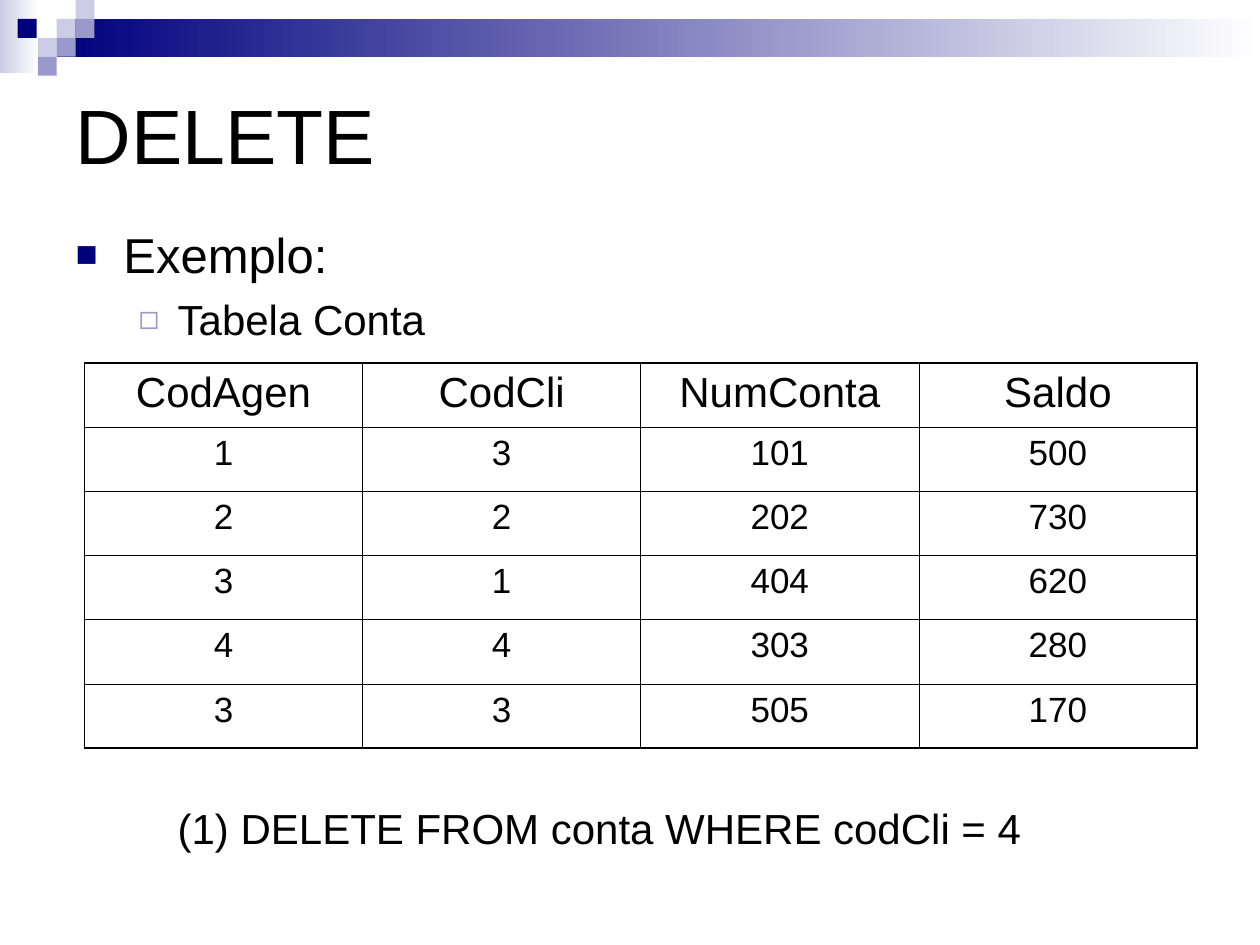
from dataclasses import dataclass

from lxml import etree
from pptx import Presentation
from pptx.dml.color import RGBColor
from pptx.enum.shapes import MSO_SHAPE
from pptx.enum.text import MSO_ANCHOR, MSO_AUTO_SIZE, PP_ALIGN
from pptx.oxml.ns import qn
from pptx.util import Inches, Pt

RECTANGLE = MSO_SHAPE.RECTANGLE
MIDDLE, TOP = MSO_ANCHOR.MIDDLE, MSO_ANCHOR.TOP
LEFT, CENTER = PP_ALIGN.LEFT, PP_ALIGN.CENTER
NO_AUTOFIT = MSO_AUTO_SIZE.NONE

FONT = "Arial"
COLORS = {
    "navy": "00007D",
    "lavender": "9999CC",
    "pale": "CCCCE6",
    "white": "FFFFFF",
    "black": "000000",
}
TILE = 0.15
OUTER_LINE, INNER_LINE = 1.08, 0.45


@dataclass
class Block:
    """A decorative rectangle; end_color turns the fill into a gradient."""
    left: float
    top: float
    width: float
    height: float
    color: str
    end_color: str = ""


@dataclass
class Item:
    """A body paragraph, with lengths in inches and sizes in points."""
    text: str
    level: int
    size: int
    margin: float
    indent: float
    space_before: int
    bullet: str = ""
    bullet_color: str = ""
    bullet_percent: int = 100


TILES = [
    (0.45, 0.15, "pale"), (0.6, 0, "pale"), (0.6, 0.15, "lavender"),
    (0.3, 0.3, "pale"), (0.14, 0.15, "navy"), (0.45, 0.3, "lavender"),
    (0.3, 0.45, "lavender"),
]
BLOCKS = [
    Block(0, 0, 0.31, 0.58, "pale", "white"),
    Block(0.45, 0.15, 9.55, 0.3, "navy", "white"),
] + [Block(left, top, TILE, TILE, color) for left, top, color in TILES]

ITEMS = [
    Item("Exemplo:", 0, 28, 0.38, -0.38, 0, "■", "navy", 75),
    Item("Tabela Conta", 1, 24, 0.81, -0.31, 6, "◻", "lavender", 80),
    Item("(1) DELETE FROM conta WHERE codCli = 4", 1, 24, 0.81, 0, 262),
]
ACCOUNTS = [
    ("CodAgen", "CodCli", "NumConta", "Saldo"),
    ("1", "3", "101", "500"),
    ("2", "2", "202", "730"),
    ("3", "1", "404", "620"),
    ("4", "4", "303", "280"),
    ("3", "3", "505", "170"),
]


def rgb(name: str) -> RGBColor:
    return RGBColor.from_string(COLORS[name])


def format_runs(para, size: float) -> None:
    for run in para.runs:
        run.font.name = FONT
        run.font.size = Pt(size)
        run.font.color.rgb = rgb("black")


def place(shape, left: float, top: float, width: float, height: float) -> None:
    shape.left, shape.top = Inches(left), Inches(top)
    shape.width, shape.height = Inches(width), Inches(height)


def draw_block(slide, block: Block) -> None:
    shape = slide.shapes.add_shape(
        RECTANGLE, Inches(block.left), Inches(block.top),
        Inches(block.width), Inches(block.height))
    shape.shadow.inherit = False
    shape.line.fill.background()
    if block.end_color:
        shape.fill.gradient()
        shape.fill.gradient_angle = 0
        for stop, color in zip(shape.fill.gradient_stops,
                               (block.color, block.end_color)):
            stop.color.rgb = rgb(color)
    else:
        shape.fill.solid()
        shape.fill.fore_color.rgb = rgb(block.color)


def set_bullet(para, item: Item) -> None:
    properties = para._p.get_or_add_pPr()
    properties.set("marL", str(Inches(item.margin)))
    properties.set("indent", str(Inches(item.indent)))
    if not item.bullet:
        etree.SubElement(properties, qn("a:buNone"))
        return
    color = etree.SubElement(properties, qn("a:buClr"))
    etree.SubElement(color, qn("a:srgbClr"), val=COLORS[item.bullet_color])
    etree.SubElement(properties, qn("a:buSzPct"),
                     val=str(item.bullet_percent * 1000))
    etree.SubElement(properties, qn("a:buFont"), typeface=FONT)
    etree.SubElement(properties, qn("a:buChar"), char=item.bullet)


def fill_title(title) -> None:
    place(title, 0.5, 0.5, 9, 1.12)
    frame = title.text_frame
    frame.text = "DELETE"
    frame.auto_size = NO_AUTOFIT
    frame.vertical_anchor = MIDDLE
    frame.paragraphs[0].alignment = LEFT
    format_runs(frame.paragraphs[0], 44)


def fill_body(body, items: list[Item]) -> None:
    place(body, 0.5, 1.7, 9.15, 5.59)
    frame = body.text_frame
    frame.text = "\n".join(item.text for item in items)
    frame.auto_size = NO_AUTOFIT
    frame.margin_top = Inches(0.08)
    for para, item in zip(frame.paragraphs, items):
        para.level = item.level
        set_bullet(para, item)
        para.space_before = Pt(item.space_before)
        format_runs(para, item.size)


def set_borders(cell, widths: dict[str, float]) -> None:
    properties = cell._tc.get_or_add_tcPr()
    for side, width in widths.items():
        line = etree.SubElement(properties, qn(f"a:{side}"), w=str(Pt(width)))
        fill = etree.SubElement(line, qn("a:solidFill"))
        etree.SubElement(fill, qn("a:srgbClr"), val=COLORS["black"])


def draw_table(slide, rows: list[tuple[str, ...]]) -> None:
    last_row, last_column = len(rows) - 1, len(rows[0]) - 1
    table = slide.shapes.add_table(
        len(rows), len(rows[0]), Inches(0.67), Inches(2.88),
        Inches(8.83), Inches(3.06)).table
    table.first_row = table.horz_banding = False
    for i, row in enumerate(rows):
        for j, text in enumerate(row):
            cell = table.cell(i, j)
            outer_sides = {"lnL": j == 0, "lnR": j == last_column,
                           "lnT": i == 0, "lnB": i == last_row}
            set_borders(cell, {side: OUTER_LINE if outer else INNER_LINE
                               for side, outer in outer_sides.items()})
            cell.fill.background()
            cell.vertical_anchor = TOP
            cell.text_frame.text = text
            para = cell.text_frame.paragraphs[0]
            para.alignment = CENTER
            format_runs(para, 24 if i == 0 else 20)


def main() -> None:
    deck = Presentation()
    deck.slide_width, deck.slide_height = Inches(10), Inches(7.5)
    slide = deck.slides.add_slide(deck.slide_layouts[1])
    slide.background.fill.solid()
    slide.background.fill.fore_color.rgb = rgb("white")
    for block in BLOCKS:
        draw_block(slide, block)
    fill_title(slide.shapes.title)
    fill_body(slide.placeholders[1], ITEMS)
    draw_table(slide, ACCOUNTS)
    deck.save("out.pptx")


if __name__ == "__main__":
    main()
